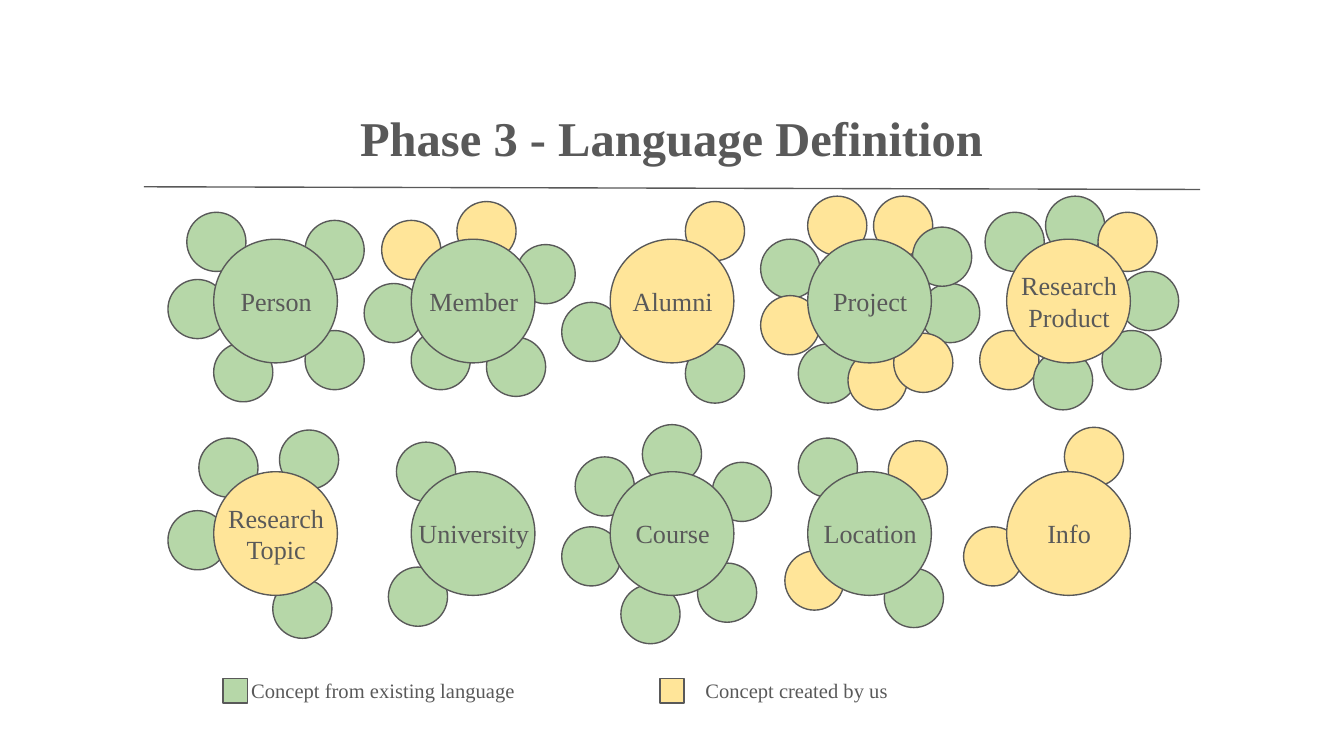
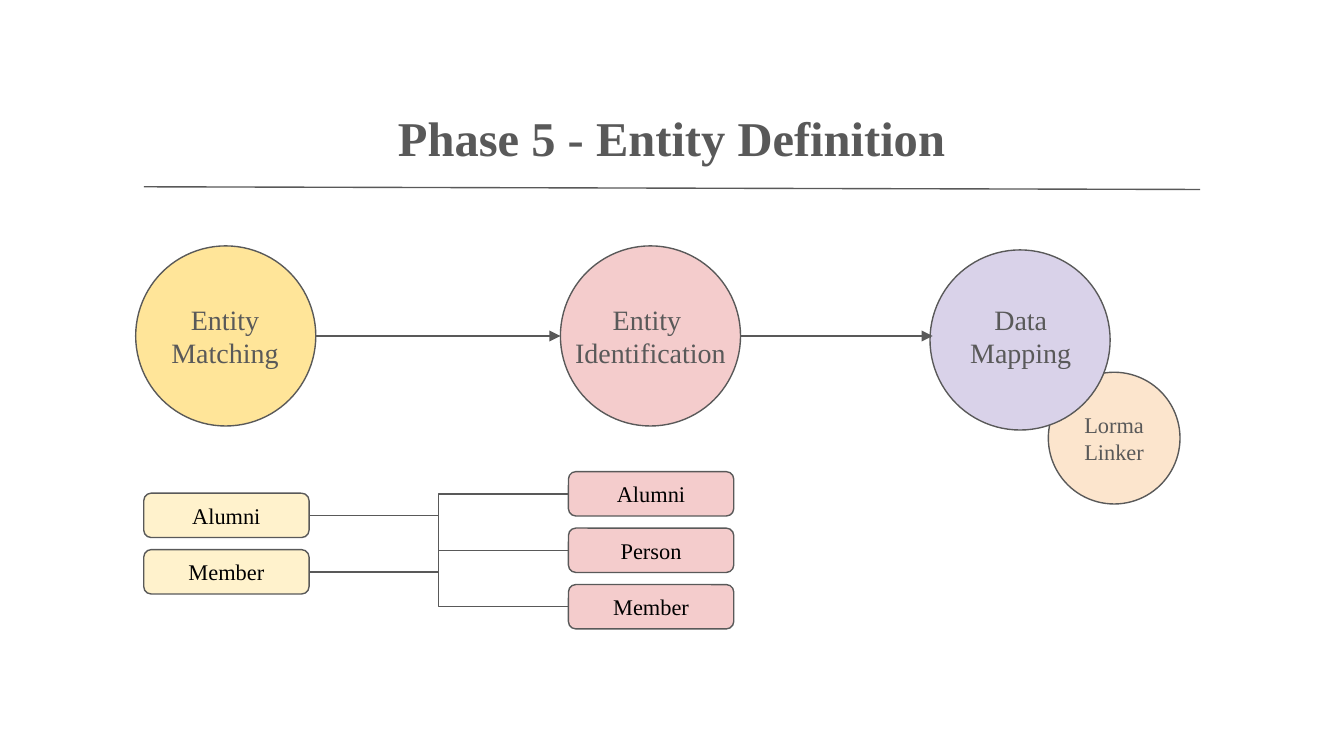
from lxml import etree
from pptx import Presentation
from pptx.dml.color import RGBColor
from pptx.enum.shapes import MSO_CONNECTOR, MSO_SHAPE
from pptx.enum.text import MSO_ANCHOR, MSO_AUTO_SIZE, PP_ALIGN
from pptx.oxml.ns import qn
from pptx.util import Pt

OVAL, RECT, ROUNDED = MSO_SHAPE.OVAL, MSO_SHAPE.RECTANGLE, MSO_SHAPE.ROUNDED_RECTANGLE
STRAIGHT, ELBOW = MSO_CONNECTOR.STRAIGHT, MSO_CONNECTOR.ELBOW
LEFT, CENTER = PP_ALIGN.LEFT, PP_ALIGN.CENTER
TOP, MIDDLE = MSO_ANCHOR.TOP, MSO_ANCHOR.MIDDLE
FIXED, GROW = MSO_AUTO_SIZE.NONE, MSO_AUTO_SIZE.SHAPE_TO_FIT_TEXT

# 100 px to the inch
SCALE = 9144
PAGE_WIDTH = 1000
FONT = "Times New Roman"
LINE_WIDTH = Pt(0.75)
INSET = 10
LEFT_SITE, RIGHT_SITE = 1, 3
COLORS = {
    "ink": "595959", "black": "000000",
    "existing": "B6D7A8", "ours": "FFE599",
    "matching": "FFE599", "matched": "FFF2CC", "identified": "F4CCCC",
    "mapping": "D9D2E9", "linker": "FCE5CD",
}

HUB, SATELLITE, SWATCH = 92, 44, 18
OLD, NEW = "existing", "ours"
# Rows of concepts: label, kind, and the left, top and kind of each satellite
CONCEPTS = [
    [
        ("Person", OLD, [(139, 158, OLD), (125, 208, OLD), (159, 255, OLD),
                         (227, 246, OLD), (227, 164, OLD)]),
        ("Member", OLD, [(340, 150, NEW), (284, 164, NEW), (271, 211, OLD),
                         (306, 246, OLD), (362, 251, OLD), (384, 182, OLD)]),
        ("Alumni", NEW, [(418, 225, OLD), (510, 256, OLD), (510, 150, NEW)]),
        ("Project", OLD, [(566, 178, OLD), (601, 146, NEW), (650, 146, NEW),
                          (594, 256, OLD), (566, 220, NEW), (631, 261, NEW),
                          (685, 211, OLD), (679, 169, OLD), (665, 248, NEW)]),
        ("Research Product", NEW, [(778, 146, OLD), (733, 158, OLD), (729, 246, NEW),
                                   (769, 261, OLD), (833, 202, OLD), (820, 246, OLD),
                                   (817, 158, NEW)]),
    ],
    [
        ("Research Topic", NEW, [(148, 326, OLD), (208, 320, OLD), (125, 380, OLD),
                                 (203, 431, OLD)]),
        ("University", OLD, [(295, 329, OLD), (289, 422, OLD)]),
        ("Course", OLD, [(530, 344, OLD), (519, 419, OLD), (462, 435, OLD),
                         (418, 392, OLD), (478, 316, OLD), (428, 340, OLD)]),
        ("Location", OLD, [(658, 423, OLD), (594, 326, OLD), (661, 328, NEW),
                           (584, 410, NEW)]),
        ("Info", NEW, [(717, 392, NEW), (792, 318, NEW)]),
    ],
]
# Swatch left, text left, text width, kind, text
LEGEND = [
    (166, 177, 222, OLD, "Concept from existing language"),
    (491, 515, 156, NEW, "Concept created by us"),
]
# Circle left, top, size and colour, then label box, text size and lines
STEPS = [
    ((417, 183, 134, "identified"), (417, 225, 134, 50), 15, ["Entity ", "Identification"]),
    ((780, 277, 98, "linker"), (762, 301, 134, 50), 12, ["Lorma", "Linker"]),
    ((692, 186, 134, "mapping"), (694, 221, 131, 58), 15, ["Data", "Mapping"]),
    ((101, 183, 134, "matching"), (111, 225, 113, 50), 15, ["Entity", "Matching"]),
]


def px(length):
    return length * SCALE


def rgb(name):
    return RGBColor.from_string(COLORS[name])


def set_attributes(target, values):
    for name, value in values.items():
        setattr(target, name, value)


def write(box, lines, size, color="ink", bold=False, align=CENTER, anchor=MIDDLE, fit=FIXED):
    frame = box.text_frame
    set_attributes(frame, {
        "word_wrap": True, "auto_size": fit, "vertical_anchor": anchor,
        "margin_left": px(INSET), "margin_right": px(INSET),
        "margin_top": px(INSET), "margin_bottom": px(INSET),
    })
    for index, line in enumerate(lines):
        para = frame.add_paragraph() if index else frame.paragraphs[0]
        para.alignment = align
        span = para.add_run()
        span.text = line
        set_attributes(span.font, {"name": FONT, "size": Pt(size), "bold": bold})
        span.font.color.rgb = rgb(color)


def add_label(page, place, lines, size, **style):
    box = page.shapes.add_textbox(*map(px, place))
    write(box, lines, size, **style)


def add_figure(page, kind, place, fill):
    figure = page.shapes.add_shape(kind, *map(px, place))
    figure.shadow.inherit = False
    figure.fill.solid()
    figure.fill.fore_color.rgb = rgb(fill)
    figure.line.color.rgb = rgb("ink")
    figure.line.width = LINE_WIDTH
    return figure


def add_circle(page, left, top, size, fill):
    add_figure(page, OVAL, (left, top, size, size), fill)


def add_line(page, start, end, kind=STRAIGHT, arrow=False):
    line = page.shapes.add_connector(kind, *map(px, start + end))
    line.line.color.rgb = rgb("ink")
    line.line.width = LINE_WIDTH
    properties = line._element.spPr
    if arrow:
        etree.SubElement(properties.find(qn("a:ln")), qn("a:tailEnd"), type="triangle")
    etree.SubElement(properties, qn("a:effectLst"))
    return line


def add_page(deck, title):
    page = deck.slides.add_slide(deck.slide_layouts[5])
    heading = page.shapes.title
    set_attributes(heading, {"left": 0, "top": px(70),
                             "width": px(PAGE_WIDTH), "height": px(64)})
    write(heading, [title], 26, bold=True)
    add_line(page, (107, 139), (893, 141))
    return page


def add_concept(page, row, column, label, kind, satellites):
    for left, top, satellite_kind in satellites:
        add_circle(page, left, top, SATELLITE, satellite_kind)
    left, top = 159 + 295 * column // 2, 178 + 173 * row
    add_circle(page, left, top, HUB, kind)
    add_label(page, (left - 11, top + 24, 115, 44), [label], 14)


def add_entities(page, left, top, names, fill):
    """Stack rounded boxes and return them by name."""
    boxes = {}
    for index, name in enumerate(names):
        box = add_figure(page, ROUNDED, (left, top + 42 * index, 123, 33), fill)
        write(box, [name], 12, color="black")
        boxes[name] = box
    return boxes


def link(page, source, target):
    line = add_line(page, (0, 0), (1, 1), ELBOW)
    line.begin_connect(source, RIGHT_SITE)
    line.end_connect(target, LEFT_SITE)


def build_language(deck):
    page = add_page(deck, "Phase 3 - Language Definition")
    for row, concepts in enumerate(CONCEPTS):
        for column, concept in enumerate(concepts):
            add_concept(page, row, column, *concept)
    for swatch_left, text_left, width, kind, text in LEGEND:
        add_figure(page, RECT, (swatch_left, 505, SWATCH, SWATCH), kind)
        add_label(page, (text_left, 495, width, 39), [text], 11,
                  align=LEFT, anchor=TOP, fit=GROW)


def build_entities(deck):
    page = add_page(deck, "Phase 5 - Entity Definition")
    # Process steps, with the linker behind the mapping circle
    for circle, label_place, size, lines in STEPS:
        add_circle(page, *circle)
        add_label(page, label_place, lines, size)
    for start, end in [(235, 417), (551, 694)]:
        add_line(page, (start, 250), (end, 250), arrow=True)
    # Matched entities and what they are identified as
    matched = add_entities(page, 107, 367, ["Alumni", "Member"], "matched")
    identified = add_entities(page, 423, 351, ["Alumni", "Person", "Member"], "identified")
    for name, source in matched.items():
        for target in ("Person", name):
            link(page, source, identified[target])


def main():
    deck = Presentation()
    # Widescreen, 16 to 9
    deck.slide_width = px(PAGE_WIDTH)
    deck.slide_height = px(PAGE_WIDTH) * 9 // 16
    build_language(deck)
    build_entities(deck)
    deck.save("out.pptx")


if __name__ == "__main__":
    main()
